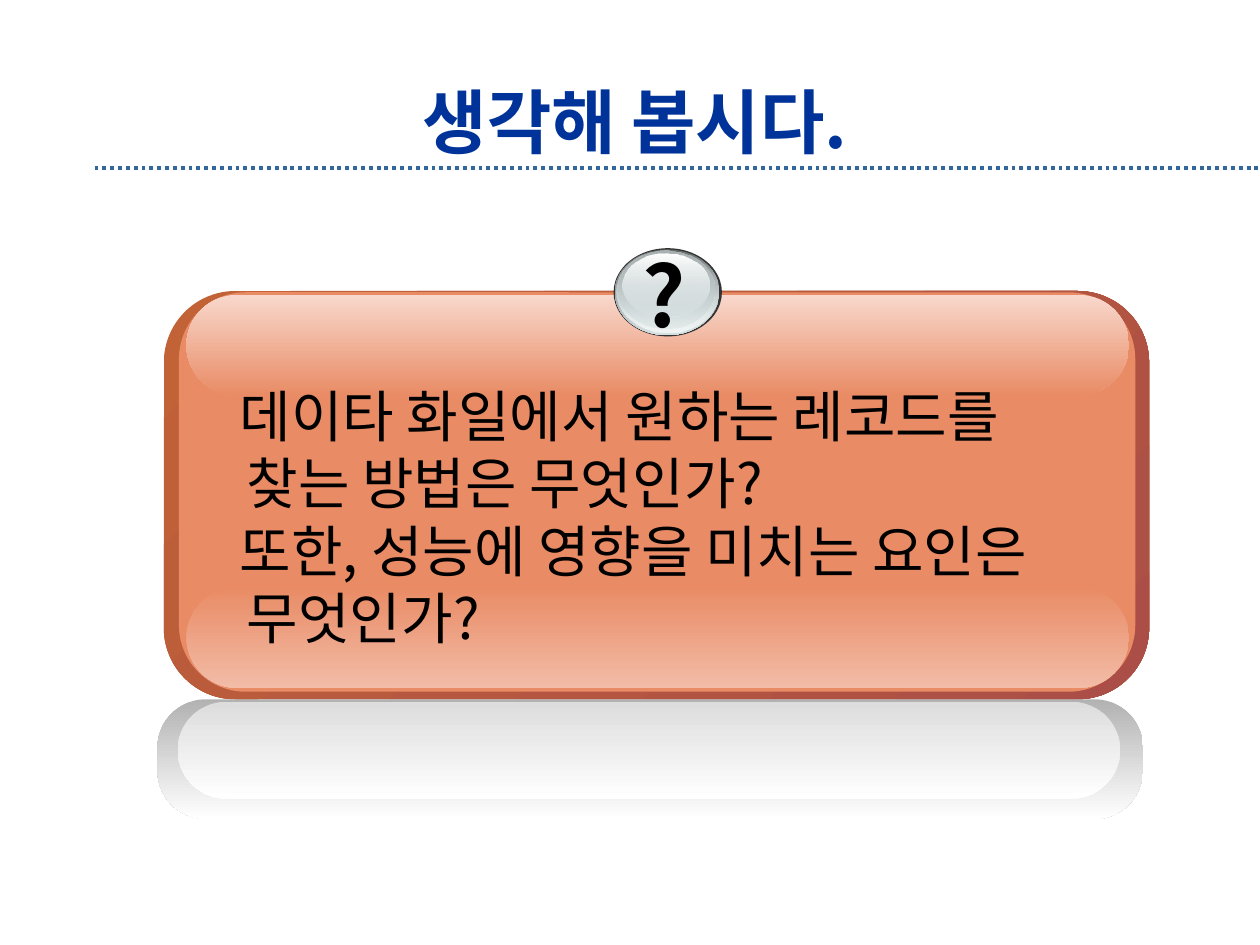
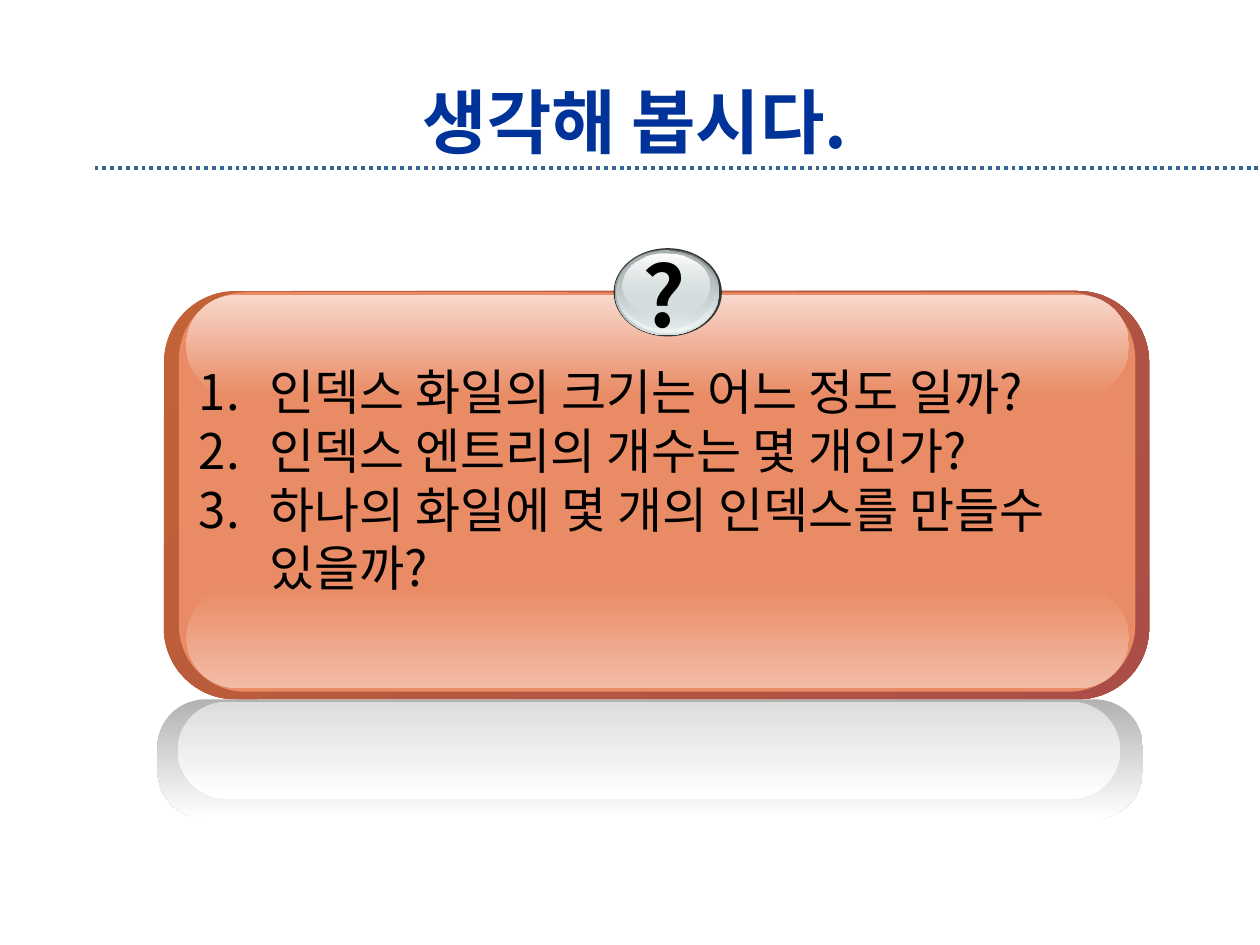
from lxml import etree
from pptx import Presentation
from pptx import util as u
from pptx.dml.color import RGBColor
from pptx.enum import dml, shapes, text
from pptx.oxml import ns

Pt = u.Pt
FONT = "Noto Sans CJK KR"
NAVY, BLACK, STEEL, ORANGE, SILVER = "003399", "000000", "336699", "E98B65", "D6E1E2"
OVAL, ROUNDED = shapes.MSO_SHAPE.OVAL, shapes.MSO_SHAPE.ROUNDED_RECTANGLE
TITLE = "생각해 봅시다."
QUESTIONS = [
    "데이타 화일에서 원하는 레코드를 찾는 방법은 무엇인가?",
    "또한, 성능에 영향을 미치는 요인은 무엇인가?",
]
NUMBERED_QUESTIONS = [
    "인덱스 화일의 크기는 어느 정도 일까?",
    "인덱스 엔트리의 개수는 몇 개인가?",
    "하나의 화일에 몇 개의 인덱스를 만들수 있을까?",
]


def color(value):
    return RGBColor.from_string(value)


def child(parent, tag, **attributes):
    return etree.SubElement(parent, ns.qn(tag), attributes)


class Deck:
    """Hold the shared style and draw each element on the current slide."""

    def __init__(self):
        self.presentation = Presentation()
        self.presentation.slide_width = Pt(720)
        self.presentation.slide_height = Pt(540)

    def new_slide(self):
        layout = self.presentation.slide_layouts[6]
        self.slide = self.presentation.slides.add_slide(layout)

    def group(self):
        return self.slide.shapes.add_group_shape().shapes

    def shape(self, target, kind, box, fill, angle=90, radius=None, alphas=()):
        shape = target.add_shape(kind, *map(Pt, box))
        shape.shadow.inherit = False
        shape.line.fill.background()
        if radius is not None:
            shape.adjustments[0] = radius
        if isinstance(fill, str):
            shape.fill.solid()
            shape.fill.fore_color.rgb = color(fill)
            return
        shape.fill.gradient()
        shape.fill.gradient_angle = 360 - angle
        for stop, value in zip(shape.fill.gradient_stops, fill):
            stop.color.rgb = color(value)
        stops = shape.element.spPr.xpath("./a:gradFill//a:srgbClr")
        for stop, alpha in zip(stops, alphas):
            child(stop, "a:alpha", val=str(alpha * 1000))

    def text(self, target, box, lines, size, ink=BLACK, bold=False, wrap=True,
             align=None, anchor=text.MSO_ANCHOR.TOP, spacing=None,
             margin=0, indent=0, numbered=False):
        frame = target.add_textbox(*map(Pt, box)).text_frame
        frame.word_wrap = wrap
        frame.vertical_anchor = anchor
        for index, line in enumerate(lines):
            paragraph = frame.add_paragraph() if index else frame.paragraphs[0]
            paragraph.alignment = align
            if spacing:
                paragraph.line_spacing = Pt(size * spacing)
            properties = paragraph._p.get_or_add_pPr()
            properties.set("marL", str(Pt(margin)))
            properties.set("indent", str(Pt(indent)))
            if numbered:
                child(properties, "a:buAutoNum", type="arabicPeriod")
            run = paragraph.add_run()
            run.text = line
            run.font.size, run.font.bold, run.font.name = Pt(size), bold, FONT
            run.font.color.rgb = color(ink)
            child(run._r.get_or_add_rPr(), "a:ea", typeface=FONT)

    def rule(self):
        connector = self.slide.shapes.add_connector(
            shapes.MSO_CONNECTOR.STRAIGHT, Pt(54), Pt(95.76), Pt(720), Pt(95.76))
        connector.line.color.rgb = color(STEEL)
        connector.line.width = Pt(2.25)
        connector.line.dash_style = dml.MSO_LINE.ROUND_DOT
        child(connector._element.spPr, "a:effectLst")

    def title(self, words):
        self.text(self.slide.shapes, (54, 48.24, 617.76, 41.76), [words], 40, NAVY,
                  bold=True, align=text.PP_ALIGN.CENTER, anchor=text.MSO_ANCHOR.MIDDLE)

    def panel(self, box, lines, size, **options):
        group = self.group()
        for area, radius, fill, angle in (
            ((93.6, 166.32, 563.04, 233.28), 0.175, ("C16237", "AB4E47"), 45),
            ((102.24, 167.04, 546.48, 228.24), 0.167, ORANGE, 0),
            ((106.56, 335.52, 538.56, 57.6), 0.5, (ORANGE, "F2BCA6"), 90),
            ((106.56, 168.48, 538.56, 57.6), 0.5, ("F8D8CC", ORANGE), 90),
        ):
            self.shape(group, ROUNDED, area, fill, angle, radius)
        self.text(group, box, lines, size, spacing=1.2, **options)

    def badge(self):
        group = self.group()
        for area, fill, alphas in (
            ((350.64, 141.84, 61.92, 50.4), "333333", ()),
            ((351.36, 142.56, 59.76, 48.96), ("636869", SILVER), ()),
            ((352.08, 142.56, 58.32, 47.52), (SILVER, "F1F5F5"), (0, 100)),
            ((352.8, 143.28, 55.44, 44.64), ("AAB2B3", SILVER), (100, 48)),
            ((355.68, 144.72, 49.68, 36), ("FFFFFF", SILVER), (100, 38)),
        ):
            self.shape(group, OVAL, area, fill, alphas=alphas)

    def reflection(self):
        for area, radius, shade in (
            ((90, 399.6, 563.04, 68.4), 0.404, "B2B2B2"),
            ((101.52, 401.04, 538.56, 55.44), 0.5, "DDDDDD"),
        ):
            self.shape(self.slide.shapes, ROUNDED, area, (shade, "FFFFFF"), radius=radius)

    def question_slide(self, box, lines, size, **options):
        self.new_slide()
        self.rule()
        self.panel(box, lines, size, margin=40.32, **options)
        self.title(TITLE)
        self.badge()
        self.reflection()
        self.text(self.slide.shapes, (360, 135.36, 41.76, 65.52), ["?"], 48,
                  bold=True, wrap=False, spacing=1.2)


deck = Deck()
deck.question_slide((93.6, 214.56, 538.56, 200.88), QUESTIONS, 32, indent=-4)
deck.question_slide((106.56, 203.04, 535.68, 177.12), NUMBERED_QUESTIONS, 28,
                    indent=-40.32, numbered=True)
deck.presentation.save("out.pptx")
